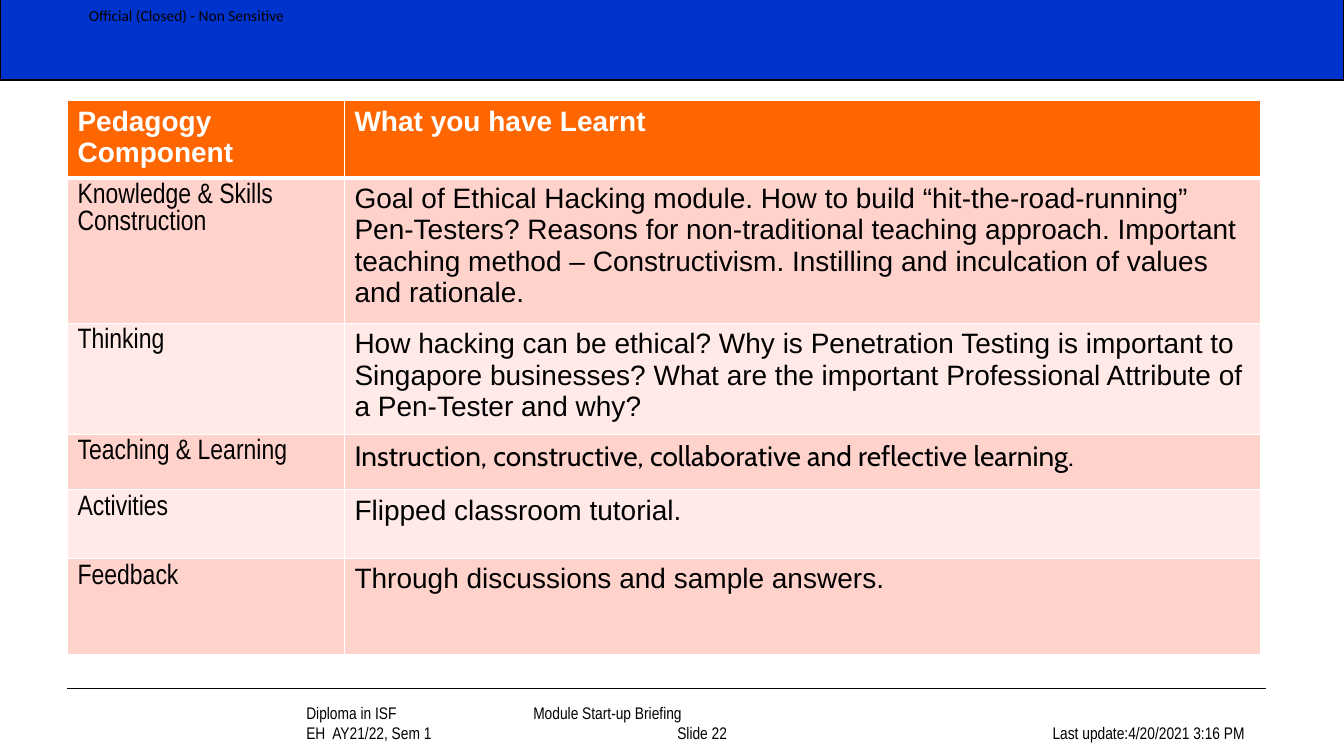
"""Builds the pedagogy summary slide with its banner, table and footer."""
from lxml import etree
from pptx import Presentation
from pptx.dml.color import RGBColor
from pptx.enum.shapes import MSO_CONNECTOR, MSO_SHAPE
from pptx.enum.text import MSO_ANCHOR, PP_ALIGN
from pptx.oxml.ns import qn
from pptx.util import Cm, Pt

STRAIGHT = MSO_CONNECTOR.STRAIGHT
RECTANGLE = MSO_SHAPE.RECTANGLE
MIDDLE, BOTTOM = MSO_ANCHOR.MIDDLE, MSO_ANCHOR.BOTTOM
LEFT, RIGHT = PP_ALIGN.LEFT, PP_ALIGN.RIGHT

NARROW = "Arial Narrow"
COLUMN_WIDTHS = [6.98, 23.08]
ROW_HEIGHTS = [1.93, 3.66, 2.79, 1.4, 1.73, 2.41]
HEADINGS = ("Pedagogy Component", "What you have Learnt")
LESSONS = [
    ("Knowledge & Skills Construction",
     "Goal of Ethical Hacking module. How to build “hit-the-road-running” Pen-Testers? "
     "Reasons for non-traditional teaching approach. Important teaching method – "
     "Constructivism. Instilling and inculcation of values and rationale.", "Arial"),
    ("Thinking",
     "How hacking can be ethical? Why is Penetration Testing is important to Singapore "
     "businesses? What are the important Professional Attribute of a Pen-Tester and why?",
     "Arial"),
    ("Teaching & Learning",
     "Instruction, constructive, collaborative and reflective learning.", "Cabin"),
    ("Activities", "Flipped classroom tutorial.", "Arial"),
    ("Feedback", "Through discussions and sample answers.", "Arial"),
]


def rgb(value):
    return RGBColor.from_string(value)


class SlideBuilder:
    black = "000000"
    white = "FFFFFF"
    blue = "0033CC"
    orange = "FF6600"
    bands = ("FFD3CC", "FFEAE7")

    def __init__(self, page):
        self.page = page

    def add_span(self, para, text, font, size, color, bold=False):
        span = para.add_run()
        span.text = text
        span.font.name = font
        span.font.size = Pt(size)
        span.font.bold = bold
        span.font.color.rgb = rgb(color)

    def banner(self, left, top, width, height):
        box = self.page.shapes.add_shape(
            RECTANGLE, Cm(left), Cm(top), Cm(width), Cm(height))
        box.shadow.inherit = False
        box.fill.solid()
        box.fill.fore_color.rgb = rgb(self.blue)
        box.line.color.rgb = rgb(self.black)
        box.line.width = Pt(1.5)

    def rule(self, left, top, right):
        line = self.page.shapes.add_connector(
            STRAIGHT, Cm(left), Cm(top), Cm(right), Cm(top))
        line.line.color.rgb = rgb(self.black)
        line.line.width = Pt(1)
        etree.SubElement(line._element.spPr, qn("a:effectLst"))

    def label(self, area, lines, font, size, insets, anchor, align=LEFT, tabs=()):
        box = self.page.shapes.add_textbox(*(Cm(length) for length in area))
        frame = box.text_frame
        frame.word_wrap = True
        frame.vertical_anchor = anchor
        frame.margin_left, frame.margin_right = Cm(insets[0]), Cm(insets[1])
        frame.margin_top = frame.margin_bottom = Cm(insets[2])
        para = frame.paragraphs[0]
        para.alignment = align
        if tabs:
            stops = etree.SubElement(para._p.get_or_add_pPr(), qn("a:tabLst"))
            for position in tabs:
                etree.SubElement(stops, qn("a:tab"), pos=str(Cm(position)), algn="l")
        for index, line in enumerate(lines):
            if index:
                para.add_line_break()
            self.add_span(para, line, font, size, self.black)

    def cell(self, cell, text, font, color, fill, bold, top, bottom):
        properties = cell._tc.get_or_add_tcPr()
        for side, width in (("L", 1), ("R", 1), ("T", top), ("B", bottom)):
            edge = etree.SubElement(properties, qn(f"a:ln{side}"), w=str(Pt(width)))
            paint = etree.SubElement(edge, qn("a:solidFill"))
            etree.SubElement(paint, qn("a:srgbClr"), val=self.white)
        cell.fill.solid()
        cell.fill.fore_color.rgb = rgb(fill)
        self.add_span(cell.text_frame.paragraphs[0], text, font, 20, color, bold)

    def table(self, left, top):
        table = self.page.shapes.add_table(
            len(ROW_HEIGHTS), len(COLUMN_WIDTHS), Cm(left), Cm(top),
            Cm(sum(COLUMN_WIDTHS)), Cm(sum(ROW_HEIGHTS))).table
        for column, width in zip(table.columns, COLUMN_WIDTHS):
            column.width = Cm(width)
        for row, height in zip(table.rows, ROW_HEIGHTS):
            row.height = Cm(height)
        for column, heading in enumerate(HEADINGS):
            self.cell(table.cell(0, column), heading, "Arial", self.white,
                      self.orange, True, 1, 3)
        for row, (component, lesson, font) in enumerate(LESSONS, 1):
            fill = self.bands[(row - 1) % 2]
            top_edge = 3 if row == 1 else 1
            for column, (text, face) in enumerate(((component, NARROW), (lesson, font))):
                self.cell(table.cell(row, column), text, face, self.black,
                          fill, False, top_edge, 1)


def main():
    deck = Presentation()
    deck.slide_width, deck.slide_height = Cm(33.87), Cm(19.05)
    builder = SlideBuilder(deck.slides.add_slide(deck.slide_layouts[6]))
    builder.label((6.2, 17.78, 18.34, 1.07),
                  ["Diploma in ISF\tModule Start-up Briefing",
                   "EH  AY21/22, Sem 1\t\tSlide 22"],
                  NARROW, 12, (1.52, 0.25, 0.13), BOTTOM, tabs=(5.72, 9.35))
    builder.rule(1.7, 17.35, 31.9)
    builder.banner(0, -0.1, 33.87, 2.11)
    builder.label((24.56, 17.78, 7.06, 1.07), ["Last update:4/20/2021 3:16 PM"],
                  NARROW, 12, (0.25, 0.25, 0.13), BOTTOM, RIGHT)
    builder.label((0, 0, 7.65, 0.79), ["Official (Closed) - Non Sensitive"],
                  "Calibri", 11, (2.24, 0, 0), MIDDLE)
    builder.table(1.7, 2.54)
    deck.save("out.pptx")


if __name__ == "__main__":
    main()
